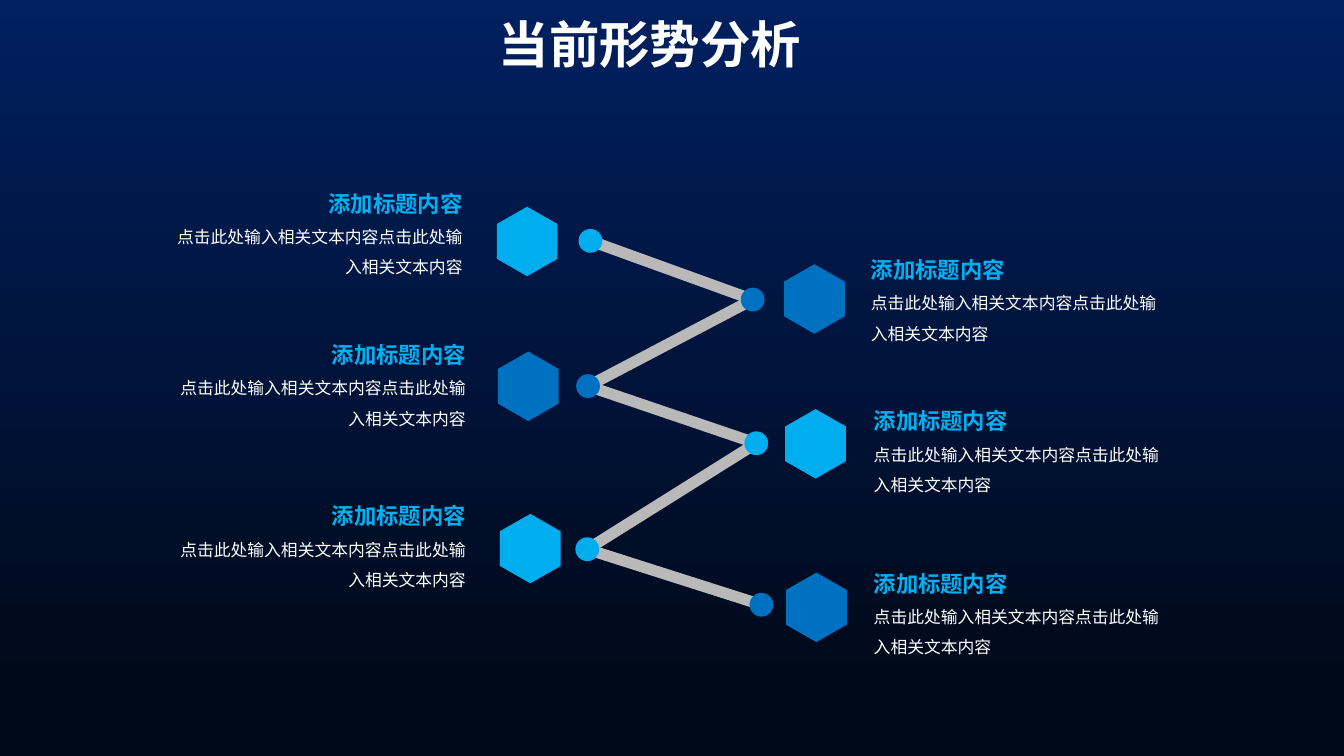
from dataclasses import dataclass
from itertools import pairwise

from lxml.etree import SubElement
from pptx import Presentation
from pptx.dml.color import RGBColor
from pptx.enum.shapes import MSO_CONNECTOR, MSO_SHAPE
from pptx.enum.text import MSO_AUTO_SIZE, PP_ALIGN
from pptx.oxml.ns import qn
from pptx.shapes.autoshape import Shape
from pptx.slide import Slide
from pptx.text.text import TextFrame, _Paragraph
from pptx.util import Cm, Pt


@dataclass(frozen=True)
class Theme:
    font: str = "Noto Sans"
    sky: str = "00AEEF"
    blue: str = "0070C0"
    heading: str = "00B0F0"
    white: str = "FFFFFF"
    line: str = "B9B9B9"
    background_top: str = "002060"
    background_bottom: str = "00091A"
    title_size: int = 36
    heading_size: int = 16
    body_size: int = 12
    line_width: int = 8


THEME = Theme()
HEADING = "添加标题内容"
BODY = "点击此处输入相关文本内容点击此处输入相关文本内容"
HEXAGON_WIDTH, HEXAGON_HEIGHT = 1.53, 1.75
DOT_DIAMETER = 0.6
TEXT_HEIGHT = 2.49


@dataclass(frozen=True)
class Stop:
    """One stop of the zigzag; places in centimetres, dot by its centre."""
    color: str
    dot: tuple[float, float]
    hexagon: tuple[float, float]
    text: tuple[float, float]
    on_left: bool


STOPS = [
    Stop(THEME.sky, (14.88, 6.07), (12.52, 5.21), (4.19, 4.45), True),
    Stop(THEME.blue, (18.97, 7.55), (19.76, 6.66), (21.95, 6.12), False),
    Stop(THEME.blue, (14.82, 9.73), (12.55, 8.86), (4.27, 8.26), True),
    Stop(THEME.sky, (19.06, 11.17), (19.79, 10.31), (22.02, 9.93), False),
    Stop(THEME.sky, (14.8, 13.84), (12.6, 12.95), (4.27, 12.32), True),
    Stop(THEME.blue, (19.19, 15.24), (19.81, 14.43), (22.02, 14.02), False),
]


def paint_background(page: Slide) -> None:
    fill = page.background.fill
    fill.gradient()
    fill.gradient_angle = 270
    colors = (THEME.background_top, THEME.background_bottom)
    for stop, color, position in zip(fill.gradient_stops, colors, (0, 0.9)):
        stop.color.rgb = RGBColor.from_string(color)
        stop.position = position


def paint_shape(shape: Shape, color: str) -> None:
    shape.shadow.inherit = False
    shape.fill.solid()
    shape.fill.fore_color.rgb = RGBColor.from_string(color)
    shape.line.fill.background()


def add_hexagon(page: Slide, stop: Stop) -> None:
    """Draw a hexagon that stands on a corner."""
    left, top = stop.hexagon
    corners = [(0.5, 0), (1, 0.25), (1, 0.75), (0.5, 1), (0, 0.75), (0, 0.25)]
    points = [(Cm(left + x * HEXAGON_WIDTH), Cm(top + y * HEXAGON_HEIGHT))
              for x, y in corners]
    builder = page.shapes.build_freeform(*points[0])
    builder.add_line_segments(points[1:], close=True)
    paint_shape(builder.convert_to_shape(), stop.color)


def add_link(page: Slide, start: Stop, end: Stop) -> None:
    link = page.shapes.add_connector(
        MSO_CONNECTOR.STRAIGHT, *map(Cm, start.dot), *map(Cm, end.dot))
    link.line.color.rgb = RGBColor.from_string(THEME.line)
    link.line.width = Pt(THEME.line_width)
    SubElement(link._element.spPr, qn("a:effectLst"))


def add_dot(page: Slide, stop: Stop) -> None:
    left, top = (Cm(center - DOT_DIAMETER / 2) for center in stop.dot)
    dot = page.shapes.add_shape(
        MSO_SHAPE.OVAL, left, top, Cm(DOT_DIAMETER), Cm(DOT_DIAMETER))
    paint_shape(dot, stop.color)


def add_text_frame(page: Slide, left: float, top: float,
                   width: float, height: float) -> TextFrame:
    box = page.shapes.add_textbox(Cm(left), Cm(top), Cm(width), Cm(height))
    frame = box.text_frame
    frame.word_wrap = True
    frame.auto_size = MSO_AUTO_SIZE.SHAPE_TO_FIT_TEXT
    return frame


def add_span(para: _Paragraph, text: str, size: int, color: str, bold: bool) -> None:
    span = para.add_run()
    span.text = text
    span.font.size = Pt(size)
    span.font.bold = bold
    span.font.color.rgb = RGBColor.from_string(color)
    span.font.name = THEME.font
    SubElement(span.font._element, qn("a:ea"), typeface=THEME.font)


def add_line_break(para: _Paragraph, size: int) -> None:
    """Break the line at a given type size, so that it keeps its height."""
    para.add_line_break()
    SubElement(para._p[-1], qn("a:rPr"), sz=str(size * 100))


def add_caption(page: Slide, stop: Stop) -> None:
    width = 7.47 if stop.on_left else 7.59
    frame = add_text_frame(page, *stop.text, width, TEXT_HEIGHT)
    frame.margin_left = frame.margin_right = Cm(0)
    frame.margin_top = frame.margin_bottom = Cm(0)
    para = frame.paragraphs[0]
    para.alignment = PP_ALIGN.RIGHT if stop.on_left else PP_ALIGN.LEFT
    para.line_spacing = 1.5
    add_span(para, HEADING, THEME.heading_size, THEME.heading, True)
    add_line_break(para, THEME.heading_size)
    add_span(para, BODY, THEME.body_size, THEME.white, False)


def main() -> None:
    deck = Presentation()
    deck.slide_width, deck.slide_height = Cm(33.87), Cm(19.05)
    page = deck.slides.add_slide(deck.slide_layouts[6])
    paint_background(page)
    for stop in STOPS:
        add_hexagon(page, stop)
    for start, end in pairwise(STOPS):
        add_link(page, start, end)
    for stop in STOPS:
        add_dot(page, stop)
    title = add_text_frame(page, 12.32, 0.2, 14.6, 1.8)
    add_span(title.paragraphs[0], "当前形势分析", THEME.title_size, THEME.white, True)
    for stop in STOPS:
        add_caption(page, stop)
    deck.save("out.pptx")


if __name__ == "__main__":
    main()
